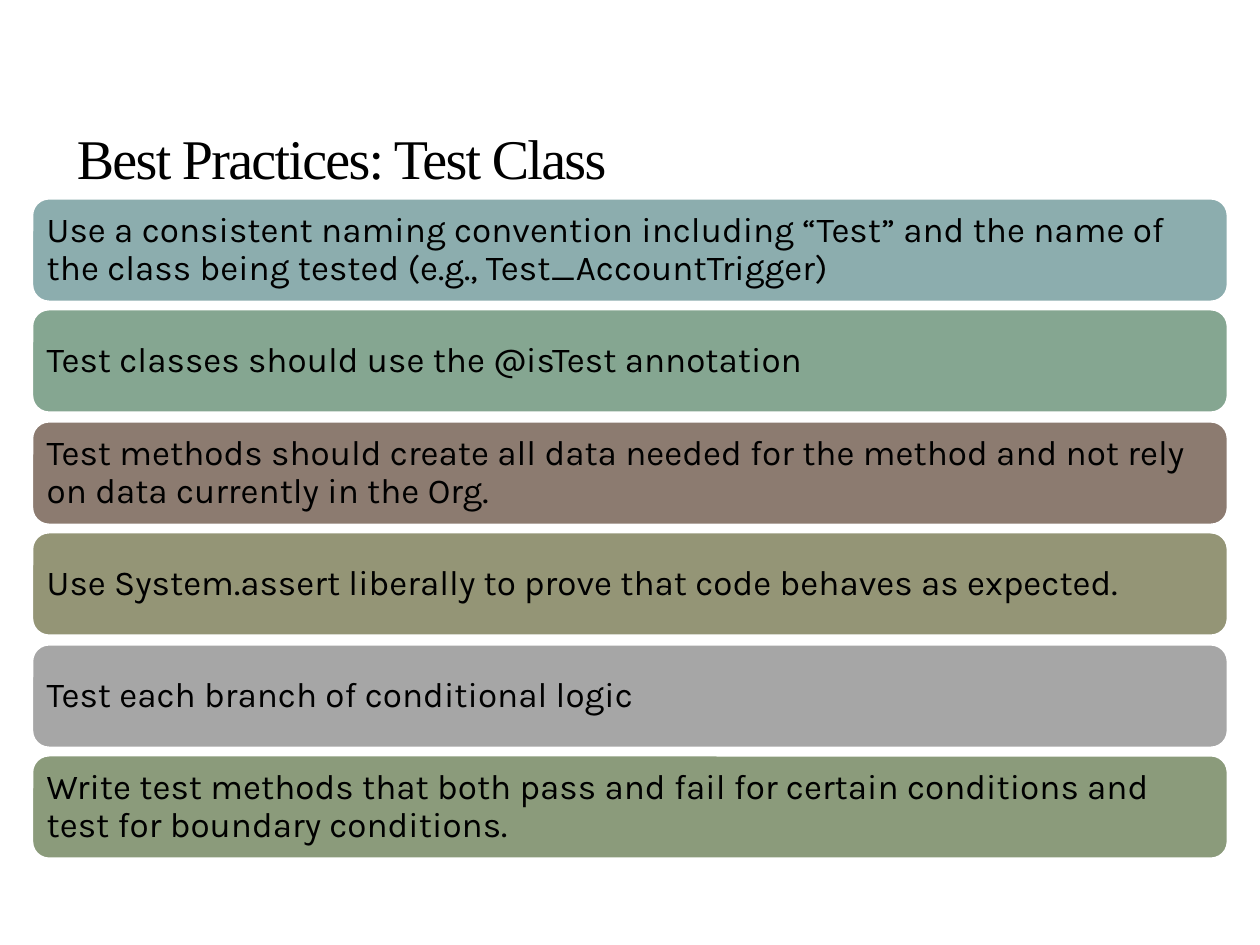
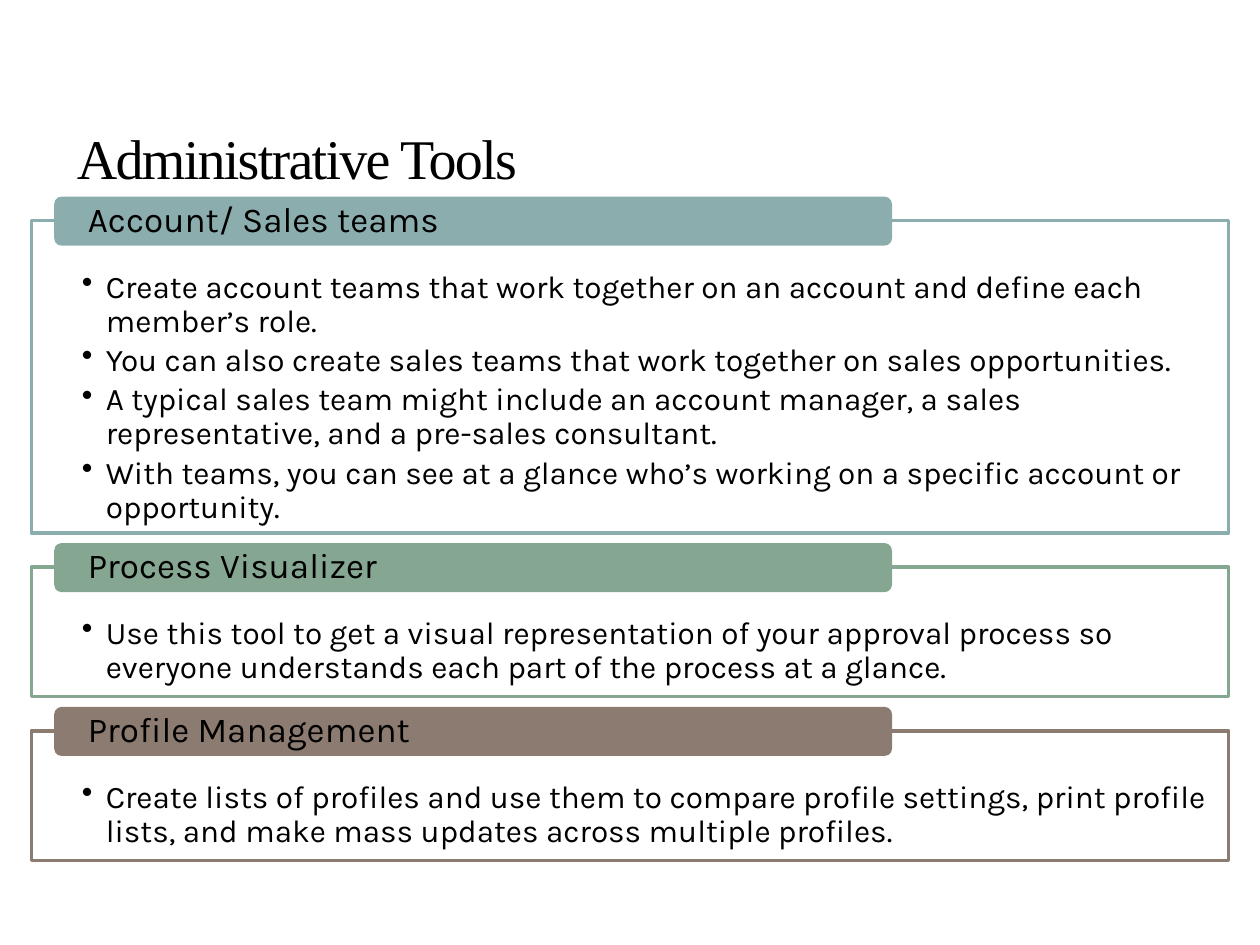
from lxml.etree import SubElement as Sub
from pptx import Presentation
from pptx.dml.color import RGBColor as RGB
from pptx.enum.shapes import MSO_SHAPE as SHAPE
from pptx.enum.text import MSO_ANCHOR as ANCHOR, MSO_AUTO_SIZE as FIT, PP_ALIGN as ALIGN
from pptx.oxml.ns import qn
from pptx.util import Pt

PX = 9144  # 100 px to the inch
HUES = {
    "teal": "8CADAE", "green": "85A691", "brown": "8C7B70",
    "olive": "949576", "gray": "A6A6A6", "sage": "8B9B7B",
    "white": "FFFFFF", "black": "000000",
}
SERIF, SANS = "Times New Roman", "Karla"
LEFT, WIDE = 25, 950
EDGE = 2.07

RULES = [
    ("teal", "Use a consistent naming convention including “Test” and the name of "
             "the class being tested (e.g., Test_AccountTrigger)"),
    ("green", "Test classes should use the @isTest annotation"),
    ("brown", "Test methods should create all data needed for the method and not "
              "rely on data currently in the Org."),
    ("olive", "Use System.assert liberally to prove that code behaves as expected."),
    ("gray", "Test each branch of conditional logic"),
    ("sage", "Write test methods that both pass and fail for certain conditions and "
             "test for boundary conditions."),
]
TOOLS = [
    ("teal", 248, "Account/ Sales teams", [
        "Create account teams that work together on an account and define each "
        "member’s role.",
        "You can also create sales teams that work together on sales opportunities.",
        "A typical sales team might include an account manager, a sales "
        "representative, and a pre-sales consultant.",
        "With teams, you can see at a glance who’s working on a specific account "
        "or opportunity.",
    ]),
    ("green", 103, "Process Visualizer", [
        "Use this tool to get a visual representation of your approval process so "
        "everyone understands each part of the process at a glance.",
    ]),
    ("brown", 103, "Profile Management", [
        "Create lists of profiles and use them to compare profile settings, print "
        "profile lists, and make mass updates across multiple profiles.",
    ]),
]


def hue(name):
    return RGB.from_string(HUES[name])


def add_run(para, text, size, face=SANS):
    run = para.add_run()
    run.text = text
    run.font.size = Pt(size)
    run.font.name = face
    run.font.color.rgb = hue("black")
    return run


def set_para(para, text, size, after):
    para.alignment = ALIGN.LEFT
    para.line_spacing = 0.9
    para.space_before = Pt(0)
    para.space_after = Pt(after)
    add_run(para, text, size)


def add_dot(para):
    """Give the paragraph a black bullet with a hanging indent."""
    para.level = 1
    props = para._p.get_or_add_pPr()
    props.set("marL", str(19 * PX))
    props.set("indent", str(-19 * PX))
    Sub(Sub(props, qn("a:buClr")), qn("a:srgbClr"), val=HUES["black"])
    Sub(props, qn("a:buChar"), char="•")


def add_box(slide, kind, area, fill, line=None, pad=(0, 0, 0, 0), anchor=ANCHOR.MIDDLE):
    box = slide.shapes.add_shape(kind, *(n * PX for n in area))
    box.shadow.inherit = False
    box.fill.solid()
    box.fill.fore_color.rgb = hue(fill)
    if line:
        box.line.color.rgb = hue(line)
        box.line.width = Pt(EDGE)
    else:
        box.line.fill.background()
    frame = box.text_frame
    frame.word_wrap = True
    frame.vertical_anchor = anchor
    (frame.margin_left, frame.margin_top,
     frame.margin_right, frame.margin_bottom) = (n * PX for n in pad)
    return box


def add_bar(slide, area, curve, fill, text, side, line=None):
    """Add a rounded bar with one line of thought; side is its text inset."""
    bar = add_box(slide, SHAPE.ROUNDED_RECTANGLE, area, fill, line, (side, 0, side, 0))
    bar.adjustments[0] = curve / area[3]
    set_para(bar.text_frame.paragraphs[0], text, 20, 8)


def add_panel(slide, top, high, tint, points):
    panel = add_box(slide, SHAPE.RECTANGLE, (LEFT, top, WIDE, high), "white", tint,
                    (40, 40, 10, 10), ANCHOR.TOP)
    color = panel._element.spPr.find(qn("a:solidFill"))[0]
    Sub(color, qn("a:alpha"), val="90000")
    frame = panel.text_frame
    for i, point in enumerate(points):
        para = frame.add_paragraph() if i else frame.paragraphs[0]
        add_dot(para)
        set_para(para, point, 18, 3)


def add_slide(deck, text):
    slide = deck.slides.add_slide(deck.slide_layouts[5])
    title = slide.shapes.title
    title.left, title.top, title.width, title.height = (
        n * PX for n in (51, 91, 900, 67))
    frame = title.text_frame
    frame.auto_size = FIT.NONE
    frame.word_wrap = True
    frame.vertical_anchor = ANCHOR.MIDDLE
    para = frame.paragraphs[0]
    para.alignment = ALIGN.LEFT
    run = add_run(para, text, 32, SERIF)
    run._r.get_or_add_rPr().set("spc", "-100")
    return slide


def add_rules(deck):
    slide = add_slide(deck, "Best Practices: Test Class")
    for i, (tint, text) in enumerate(RULES):
        top = 157 + i * 177 // 2
        add_bar(slide, (LEFT, top, WIDE, 83), 14, tint, text, 8, "white")


def add_tools(deck):
    slide = add_slide(deck, "Administrative Tools")
    top, tab, gap = 175, 39, 27
    for tint, high, head, points in TOOLS:
        add_panel(slide, top, high, tint, points)
        add_bar(slide, (43, top - tab // 2, 665, tab), 6, tint, head, 25)
        top += high + gap


def main():
    deck = Presentation()
    deck.slide_width, deck.slide_height = 1000 * PX, 750 * PX
    add_rules(deck)
    add_tools(deck)
    deck.save("out.pptx")


if __name__ == "__main__":
    main()
